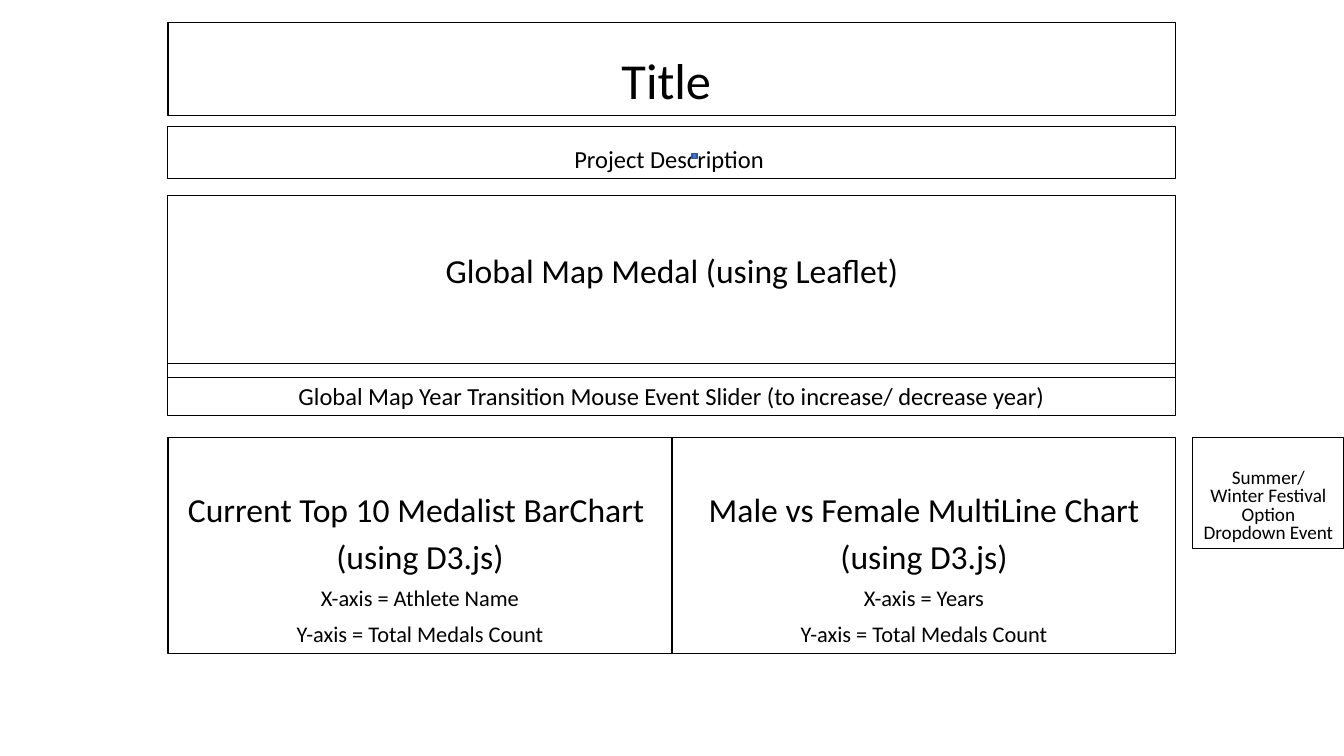
import pptx
import pptx.util
import pptx.dml.color
import pptx.enum.shapes
import pptx.enum.text

COLORS = {"ink": "000000", "marker": "4472C4", "marker_edge": "325491"}
FONT = "Calibri"
COLUMNS, ROWS = 8, 75
TOP = pptx.enum.text.MSO_ANCHOR.TOP
BOTTOM = pptx.enum.text.MSO_ANCHOR.BOTTOM

deck = pptx.Presentation()
deck.slide_width = pptx.util.Inches(13.33)
deck.slide_height = pptx.util.Inches(7.5)
column = deck.slide_width / COLUMNS
row = deck.slide_height / ROWS


def color(name):
    return pptx.dml.color.RGBColor.from_string(COLORS[name])


def place(shape, box):
    left, top, width, height = box
    shape.left, shape.width = round(left * column), round(width * column)
    shape.top, shape.height = round(top * row), round(height * row)


def add_box(page, box):
    shape = page.shapes.add_shape(
        pptx.enum.shapes.MSO_SHAPE.RECTANGLE, 0, 0, 0, 0)
    shape.shadow.inherit = False
    place(shape, box)
    return shape


def outline(shape):
    shape.fill.background()
    shape.line.color.rgb = color("ink")
    shape.line.width = pptx.util.Pt(0.75)


def write(shape, lines, spacing=0.9, anchor=BOTTOM, inset=0.05):
    frame = shape.text_frame
    frame.word_wrap = True
    frame.auto_size = pptx.enum.text.MSO_AUTO_SIZE.NONE
    frame.vertical_anchor = anchor
    frame.margin_top = pptx.util.Inches(inset)
    for index, (text, size) in enumerate(lines):
        para = frame.add_paragraph() if index else frame.paragraphs[0]
        para.text = text
        para.alignment = pptx.enum.text.PP_ALIGN.CENTER
        para.line_spacing = spacing
        para.space_before = pptx.util.Pt(10 if index else 0)
        para.font.name = FONT
        para.font.size = pptx.util.Pt(size)
        para.font.color.rgb = color("ink")


def add_panel(page, box, lines, **layout):
    panel = add_box(page, box)
    outline(panel)
    write(panel, lines, **layout)


def add_header(page, box):
    left, top, width, height = box
    title = page.shapes.title
    place(title, (left, top, width, 0.6 * height))
    outline(title)
    write(title, [("Title ", 36)])
    add_panel(page, (left, top + 0.67 * height, width, 0.33 * height),
              [("Project Description ", 17.5)])
    marker = add_box(page, (left + 0.52 * width, top + 0.84 * height, 0.03, 0.5))
    marker.fill.solid()
    marker.fill.fore_color.rgb = color("marker")
    marker.line.color.rgb = color("marker_edge")
    marker.line.width = pptx.util.Pt(1)


def add_map(page, box):
    left, top, width, height = box
    add_panel(page, (left, top, width, 0.83 * height),
              [("Global Map Medal (using Leaflet)", 24)],
              anchor=TOP, inset=0.58)
    add_panel(page, (left, top + 0.766 * height, width, 0.234 * height),
              [("Global Map Year Transition Mouse Event Slider "
                "(to increase/ decrease year)", 17.5)])


def add_charts(page, box):
    left, top, width, height = box
    charts = [("Current Top 10 Medalist BarChart ", "Athlete Name"),
              ("Male vs Female MultiLine Chart", "Years")]
    share = width / len(charts)
    for index, (heading, axis) in enumerate(charts):
        add_panel(page, (left + index * share, top, share, height),
                  [(heading, 24), ("(using D3.js)", 24),
                   (f"X-axis = {axis}", 16),
                   ("Y-axis = Total Medals Count", 16)],
                  spacing=0.8, anchor=TOP, inset=0.59)


def add_dropdown(page, box):
    add_panel(page, box,
              [("Summer/\vWinter Festival\vOption\vDropdown Event", 13.7)],
              spacing=0.8)


page = deck.slides.add_slide(deck.slide_layouts.get_by_name("Title Only"))
add_header(page, (1, 2.2, 6, 15.5))
add_map(page, (1, 19.4, 6, 21.8))
add_charts(page, (1, 43.4, 6, 21.4))
add_dropdown(page, (7.1, 43.4, 0.9, 11))
deck.save("out.pptx")
